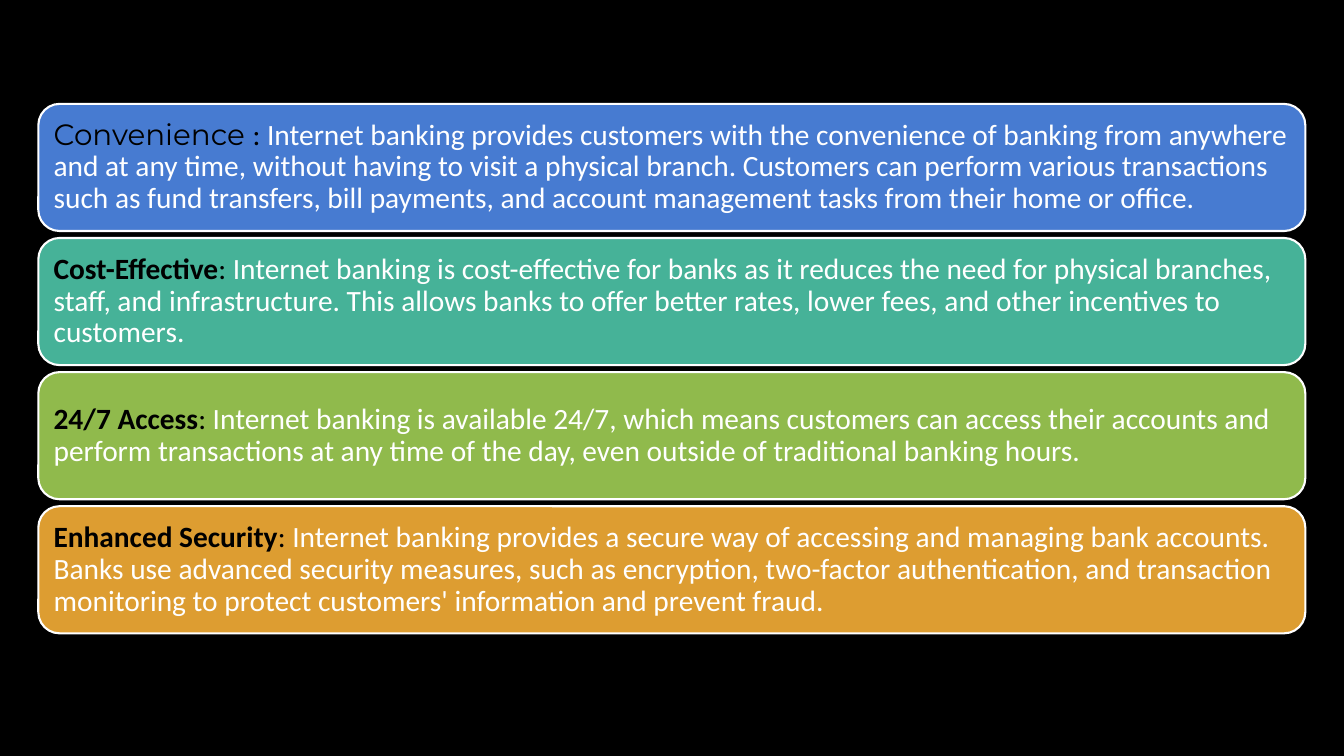
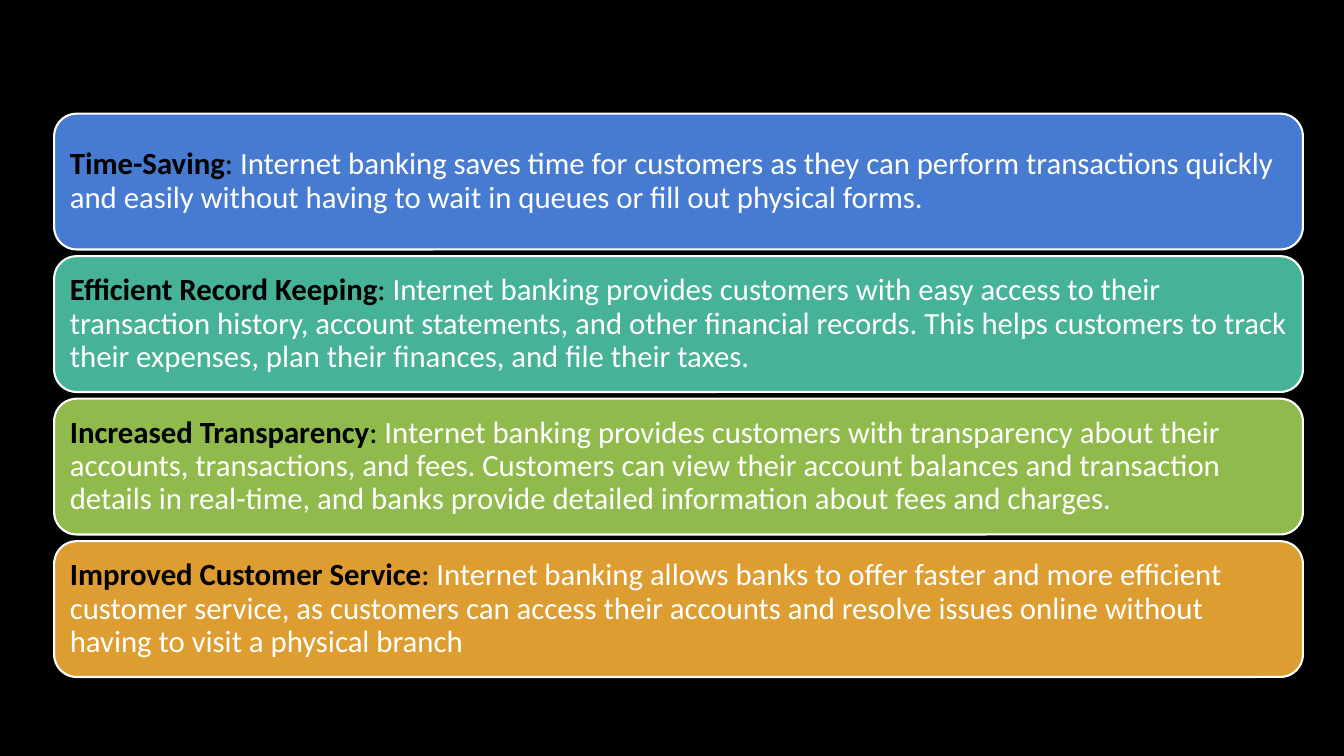
"""Builds two slides listing the benefits of internet banking as stacked cards."""
from dataclasses import dataclass

from pptx import Presentation
from pptx.dml.color import RGBColor
from pptx.enum.shapes import MSO_SHAPE
from pptx.enum.text import MSO_ANCHOR, PP_ALIGN
from pptx.util import Pt

ROUNDED = MSO_SHAPE.ROUNDED_RECTANGLE
MIDDLE = MSO_ANCHOR.MIDDLE
LEFT = PP_ALIGN.LEFT
BLANK_LAYOUT = 6


@dataclass(frozen=True)
class Theme:
    """Colours, fonts and measures shared by both slides."""
    background: str = "000000"
    label: str = "000000"
    body: str = "FFFFFF"
    outline: str = "FFFFFF"
    cards: tuple = ("477BD1", "46B298", "90BA4C", "DD9D31")
    font: str = "Calibri"
    accent_font: str = "Montserrat"
    outline_width: float = 1.5
    inset: float = 6.5
    line_spacing: float = 0.9


@dataclass(frozen=True)
class Stack:
    """Place and type size of one column of equal cards, in points."""
    left: float
    top: float
    width: float
    height: float
    gap: float
    text_size: float


@dataclass(frozen=True)
class Benefit:
    """A benefit's label and the explanation that follows its colon."""
    label: str
    explanation: str
    accented: bool = False


THEME = Theme()

FIRST_STACK = Stack(27.4, 74.2, 905, 90.8, 5, 21)
FIRST_BENEFITS = (
    Benefit("Convenience\u00a0",
            "Internet banking provides customers with the convenience of banking from "
            "anywhere and at any time, without having to visit a physical branch. Customers "
            "can perform various transactions such as fund transfers, bill payments, and "
            "account management tasks from their home or office.", accented=True),
    Benefit("Cost-Effective",
            "Internet banking is cost-effective for banks as it reduces the need for "
            "physical branches, staff, and infrastructure. This allows banks to offer better "
            "rates, lower fees, and other incentives to customers."),
    Benefit("24/7 Access",
            "Internet banking is available 24/7, which means customers can access their "
            "accounts and perform transactions at any time of the day, even outside of "
            "traditional banking hours."),
    Benefit("Enhanced Security",
            "Internet banking provides a secure way of accessing and managing bank accounts. "
            "Banks use advanced security measures, such as encryption, two-factor "
            "authentication, and transaction monitoring to protect customers' information "
            "and prevent fraud.\u00a0"),
)

SECOND_STACK = Stack(38.7, 81.2, 892, 97, 4.8, 22)
SECOND_BENEFITS = (
    Benefit("Time-Saving",
            "Internet banking saves time for customers as they can perform transactions "
            "quickly and easily\u00a0without having to wait in queues or fill out physical "
            "forms.\u00a0"),
    Benefit("Efficient Record Keeping",
            "Internet banking provides customers with easy access to their transaction "
            "history,\u00a0account statements, and other financial records. This helps "
            "customers to track their expenses, plan their\u00a0finances, and file their "
            "taxes."),
    Benefit("Increased Transparency",
            "Internet banking provides customers with transparency about their "
            "accounts,\u00a0transactions, and fees. Customers can view their account balances "
            "and transaction details in real-time, and banks\u00a0provide detailed "
            "information about fees and charges."),
    Benefit("Improved Customer Service",
            "Internet banking allows banks\u00a0to offer faster and more efficient customer "
            "service, as customers can access their accounts and resolve issues\u00a0online "
            "without having to visit a physical branch"),
)


def add_run(paragraph, text, size, color, font=THEME.font, bold=False):
    """Append one formatted run to a paragraph."""
    run = paragraph.add_run()
    run.text = text
    run.font.name = font
    run.font.size = Pt(size)
    run.font.bold = bold
    run.font.color.rgb = RGBColor.from_string(color)


def write_benefit(frame, benefit, size):
    """Write a benefit's label, colon and explanation into a card."""
    frame.word_wrap = True
    frame.vertical_anchor = MIDDLE
    frame.margin_left = frame.margin_right = Pt(THEME.inset)
    frame.margin_top = frame.margin_bottom = Pt(THEME.inset)
    paragraph = frame.paragraphs[0]
    paragraph.alignment = LEFT
    paragraph.line_spacing = THEME.line_spacing
    label_font = THEME.accent_font if benefit.accented else THEME.font
    add_run(paragraph, benefit.label, size, THEME.label, label_font, not benefit.accented)
    add_run(paragraph, ":", size, THEME.label)
    add_run(paragraph, " " + benefit.explanation, size, THEME.body)


def add_card(slide, stack, row, color, benefit):
    """Draw one rounded card in its row of the stack."""
    top = stack.top + row * (stack.height + stack.gap)
    card = slide.shapes.add_shape(
        ROUNDED, Pt(stack.left), Pt(top), Pt(stack.width), Pt(stack.height))
    card.shadow.inherit = False
    card.fill.solid()
    card.fill.fore_color.rgb = RGBColor.from_string(color)
    card.line.color.rgb = RGBColor.from_string(THEME.outline)
    card.line.width = Pt(THEME.outline_width)
    write_benefit(card.text_frame, benefit, stack.text_size)


def add_benefits_slide(prs, stack, benefits):
    """Add a slide with one card for each benefit."""
    slide = prs.slides.add_slide(prs.slide_layouts[BLANK_LAYOUT])
    for row, (color, benefit) in enumerate(zip(THEME.cards, benefits)):
        add_card(slide, stack, row, color, benefit)


def main():
    """Build and save the presentation."""
    prs = Presentation()
    prs.slide_width, prs.slide_height = Pt(960), Pt(540)
    backdrop = prs.slide_master.background.fill
    backdrop.solid()
    backdrop.fore_color.rgb = RGBColor.from_string(THEME.background)
    add_benefits_slide(prs, FIRST_STACK, FIRST_BENEFITS)
    add_benefits_slide(prs, SECOND_STACK, SECOND_BENEFITS)
    prs.save("out.pptx")


main()
